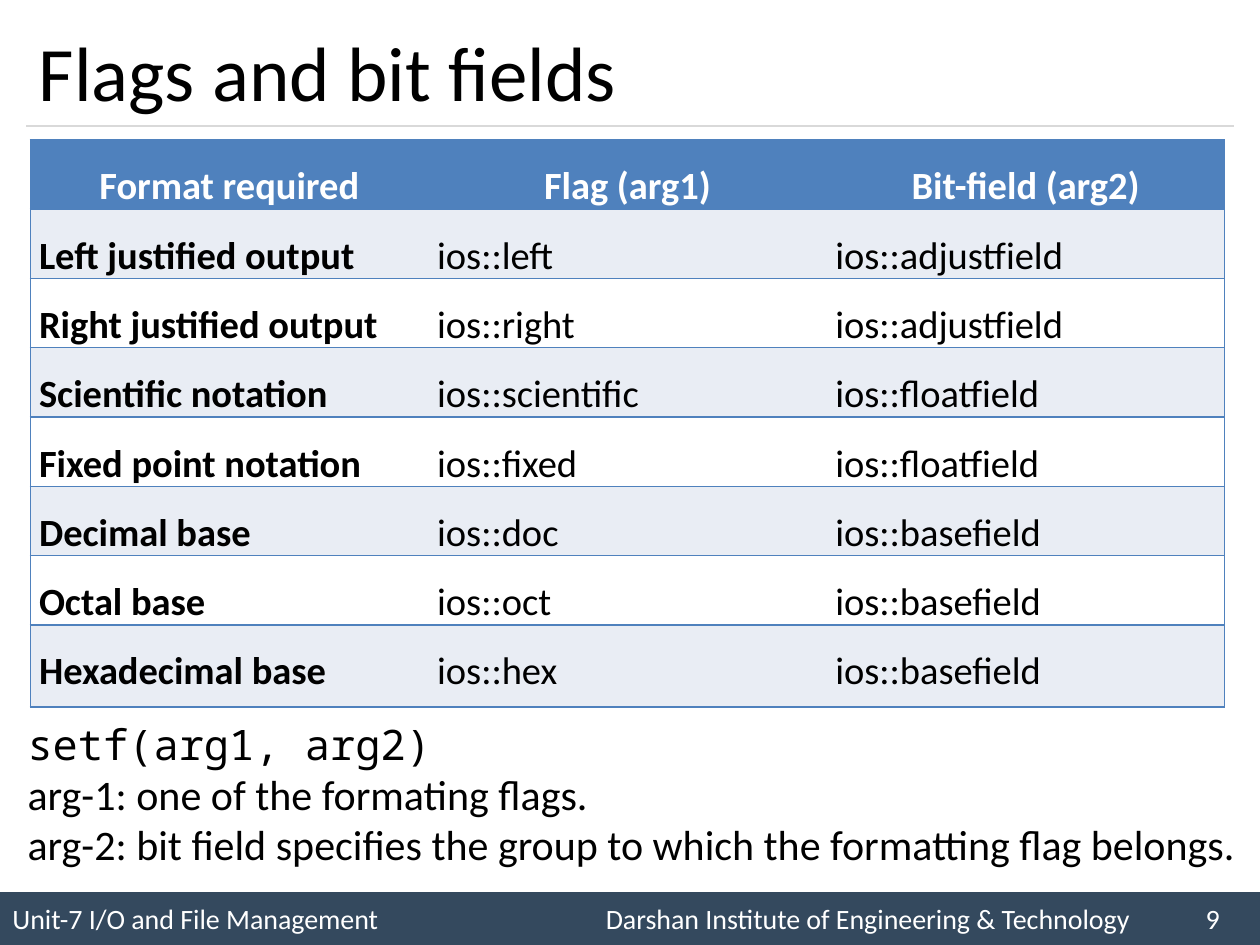
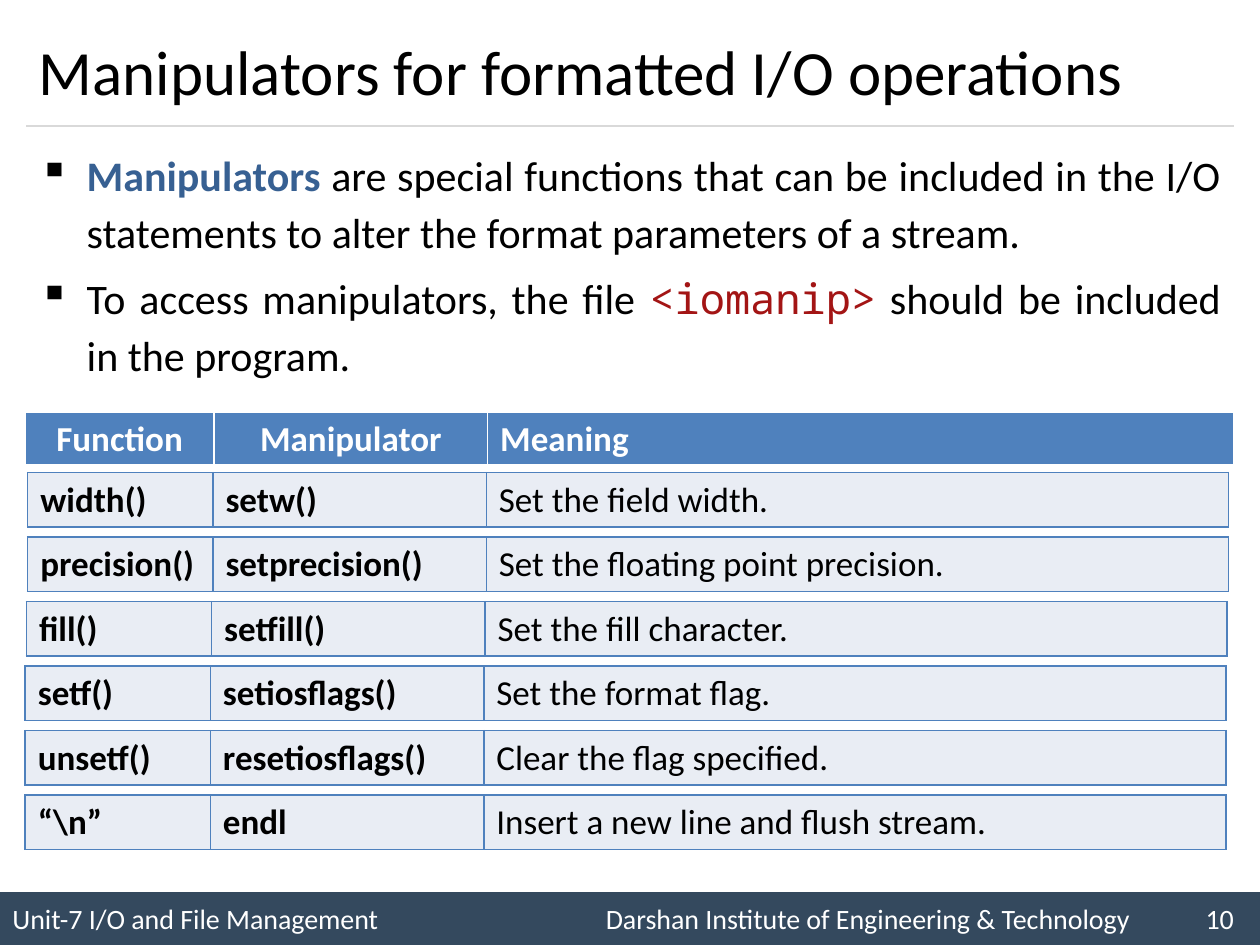
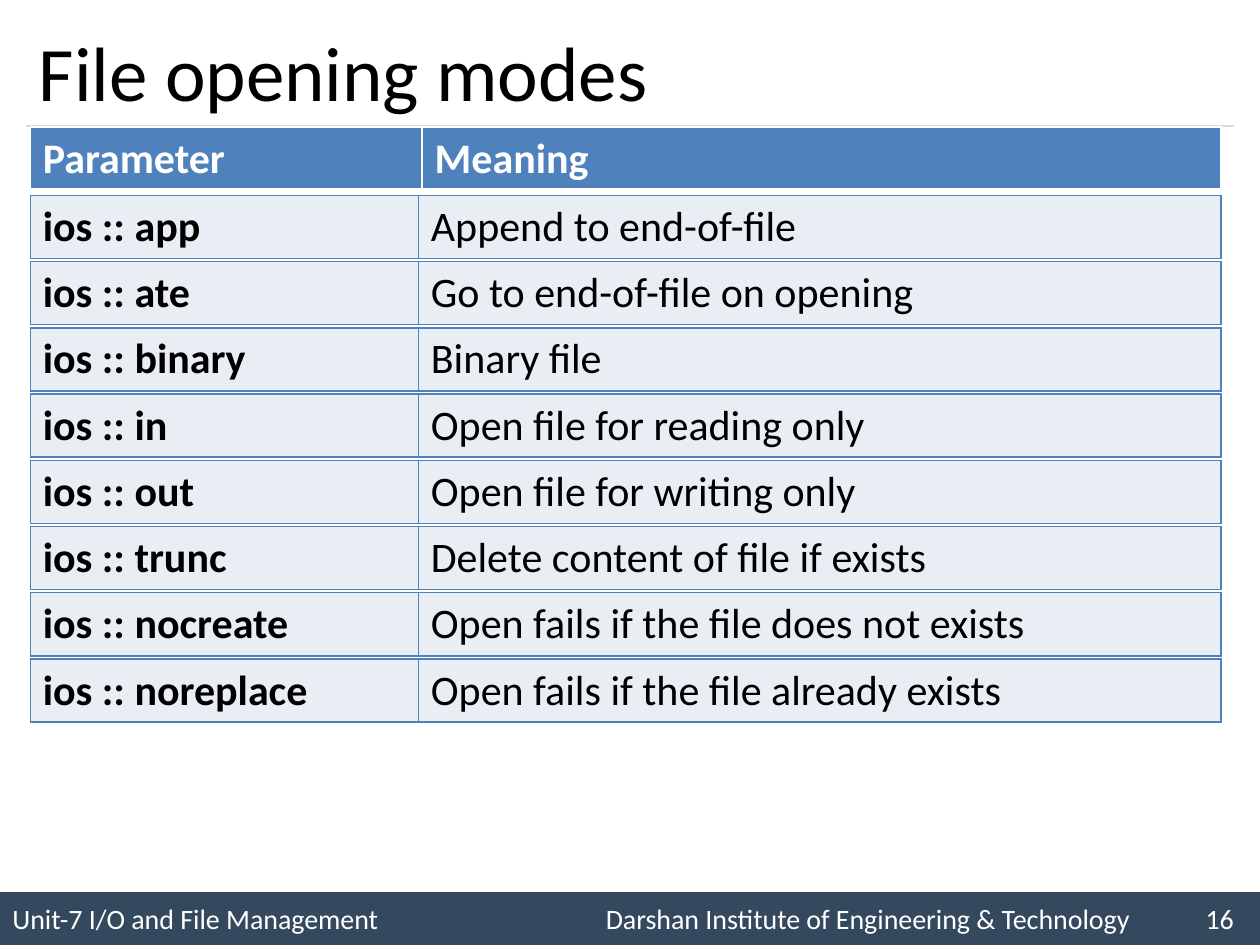
from lxml import etree
from pptx import Presentation
from pptx.dml.color import RGBColor
from pptx.enum.shapes import MSO_CONNECTOR, MSO_SHAPE
from pptx.enum.text import MSO_ANCHOR as Anchor, PP_ALIGN as Align
from pptx.oxml import parse_xml
from pptx.oxml.ns import nsdecls, qn
from pptx.util import Inches, Pt

BLACK, WHITE, BLUE, PALE = "000000", "FFFFFF", "4F81BD", "E9EDF4"
BAND, RULE, TERM, CODE = "34495E", "D9D9D9", "376092", "A31515"
BODY_FONT, CODE_FONT = "Calibri", "Noto Sans Mono"
rgb = RGBColor.from_string


def style(font, size, color=BLACK, bold=False, name=BODY_FONT):
    font.name, font.size, font.bold = name, Pt(size), bold
    font.color.rgb = rgb(color)


def add_grid(slide, left, top, widths, height, rows, size, fills, borders,
             header=False, bold_columns=1, centred=0, inner_lines=True, compact=False):
    frame = slide.shapes.add_table(len(rows), len(widths), Inches(left), Inches(top),
                                   Inches(sum(widths)), Inches(height * len(rows)))
    table = frame.table
    table.first_row = table.horz_banding = False
    for column, width in zip(table.columns, widths):
        column.width = Inches(width)
    for row_index, row in enumerate(rows):
        is_header = header and row_index == 0
        for index, text in enumerate(row):
            cell = table.cell(row_index, index)
            cell.text = text
            if compact:
                cell.margin_left = cell.margin_right = Inches(0.07)
                cell.margin_top = cell.margin_bottom = 0
            paragraph = cell.text_frame.paragraphs[0]
            if compact:
                paragraph.line_spacing = 1.5
            if is_header and index < centred:
                paragraph.alignment = Align.CENTER
            style(paragraph.runs[0].font, size, WHITE if is_header else BLACK,
                  is_header or index < bold_columns)
            cell.fill.solid()
            cell.fill.fore_color.rgb = rgb(fills[row_index])
            properties = cell._tc.get_or_add_tcPr()
            for position, (side, (color, width)) in enumerate(zip("LRTB", borders)):
                inner = (side == "L" and index > 0) or (side == "R" and index < len(row) - 1)
                paint = (f'<a:solidFill><a:srgbClr val="{color}"/></a:solidFill>'
                         if inner_lines or not inner else "<a:noFill/>")
                properties.insert(position, parse_xml(
                    f'<a:ln{side} {nsdecls("a")} w="{Pt(width)}">{paint}</a:ln{side}>'))
    return table


presentation = Presentation()
presentation.slide_width, presentation.slide_height = Inches(10), Inches(7.5)
blue_borders = [(BLUE, 1)] * 4
white_borders = [(WHITE, 1)] * 3 + [(WHITE, 3)]

slides = []
for title, title_size, number in [
    ("Flags and bit fields", 44, 9),
    ("Manipulators for formatted I/O operations", 36, 10),
    ("File opening modes", 44, 16),
]:
    slide = presentation.slides.add_slide(presentation.slide_layouts[6])
    slides.append(slide)

    footer = slide.shapes.add_shape(MSO_SHAPE.RECTANGLE, 0, Inches(7.08), Inches(10), Inches(0.42))
    footer.shadow.inherit = False
    footer.fill.solid()
    footer.fill.fore_color.rgb = rgb(BAND)
    footer.line.fill.background()
    footer.text_frame.vertical_anchor = Anchor.MIDDLE
    paragraph = footer.text_frame.paragraphs[0]
    paragraph.text = ("Unit-7 I/O and File Management\t"
                      f"Darshan Institute of Engineering & Technology\t{number}")
    paragraph.alignment = Align.LEFT
    tabs = etree.SubElement(paragraph._p.get_or_add_pPr(), qn("a:tabLst"))
    for stop in (4.71, 9.47):
        etree.SubElement(tabs, qn("a:tab"), pos=str(Inches(stop)), algn="l")
    style(paragraph.runs[0].font, 16, WHITE)

    rule = slide.shapes.add_connector(MSO_CONNECTOR.STRAIGHT, Inches(0.21), Inches(1),
                                      Inches(9.79), Inches(1))
    rule.line.color.rgb = rgb(RULE)
    rule.line.width = Pt(0.75)
    etree.SubElement(rule._element.spPr, qn("a:effectLst"))

    heading = slide.shapes.add_textbox(Inches(0.21), Inches(0.12), Inches(9.58), Inches(0.88))
    heading.text_frame.word_wrap = True
    heading.text_frame.vertical_anchor = Anchor.MIDDLE
    heading.text_frame.text = title
    style(heading.text_frame.paragraphs[0].runs[0].font, title_size)

flags_slide, manipulators_slide, modes_slide = slides

flags = [
    ("Format required", "Flag (arg1)", "Bit-field (arg2)"),
    ("Left justified output", "ios::left", "ios::adjustfield"),
    ("Right justified output", "ios::right", "ios::adjustfield"),
    ("Scientific notation", "ios::scientific", "ios::floatfield"),
    ("Fixed point notation", "ios::fixed", "ios::floatfield"),
    ("Decimal base", "ios::doc", "ios::basefield"),
    ("Octal base", "ios::oct", "ios::basefield"),
    ("Hexadecimal base", "ios::hex", "ios::basefield"),
]
flag_fills = [BLUE] + [PALE if index % 2 == 0 else WHITE for index in range(7)]
flags_table = add_grid(flags_slide, 0.24, 1.11, [3.16] * 3, 0.55, flags, 22, flag_fills,
                       blue_borders, header=True, centred=3, inner_lines=False, compact=True)
flags_table.rows[7].height = Inches(0.65)

usage = flags_slide.shapes.add_textbox(Inches(0.12), Inches(5.65), Inches(9.88), Inches(1.31))
usage.text_frame.word_wrap = True
usage.text_frame.text = "\n".join([
    "setf(arg1, arg2)",
    "arg-1: one of the formating flags.",
    "arg-2: bit field specifies the group to which the formatting flag belongs.",
])
for index, paragraph in enumerate(usage.text_frame.paragraphs):
    style(paragraph.runs[0].font, 24, name=BODY_FONT if index else CODE_FONT)

body = manipulators_slide.shapes.add_textbox(Inches(0.21), Inches(1.08), Inches(9.58), Inches(2.04))
body.text_frame.word_wrap = True
bullets = [
    [("Manipulators", TERM, True, BODY_FONT),
     (" are special functions that can be included in the I/O statements"
      " to alter the format parameters of a stream.", BLACK, False, BODY_FONT)],
    [("To access manipulators, the file ", BLACK, False, BODY_FONT),
     ("<iomanip>", CODE, False, CODE_FONT),
     (" should be included in the program.", BLACK, False, BODY_FONT)],
]
for index, parts in enumerate(bullets):
    paragraph = body.text_frame.add_paragraph() if index else body.text_frame.paragraphs[0]
    paragraph.alignment = Align.JUSTIFY
    paragraph.line_spacing = 1.14
    if index:
        paragraph.space_before = Pt(4.8)
    properties = paragraph._p.get_or_add_pPr()
    properties.set("marL", str(Inches(0.38)))
    properties.set("indent", str(-Inches(0.38)))
    bullet_color = etree.SubElement(properties, qn("a:buClr"))
    etree.SubElement(bullet_color, qn("a:srgbClr"), val=BLACK)
    etree.SubElement(properties, qn("a:buChar"), char="▪")
    for text, color, bold, name in parts:
        run = paragraph.add_run()
        run.text = text
        style(run.font, 24, color, bold, name)

add_grid(manipulators_slide, 0.2, 3.27, [1.5, 2.17, 5.92], 0.42,
         [("Function", "Manipulator", "Meaning")], 20, [BLUE], white_borders,
         header=True, centred=2)
manipulators = [
    (0.22, "width()", "setw()", "Set the field width."),
    (0.22, "precision()", "setprecision()", "Set the floating point precision."),
    (0.21, "fill()", "setfill()", "Set the fill character."),
    (0.2, "setf()", "setiosflags()", "Set the format flag."),
    (0.2, "unsetf()", "resetiosflags()", "Clear the flag specified."),
    (0.2, "“\\n”", "endl", "Insert a new line and flush stream."),
]
manipulator_step = (6.31 - 3.75) / (len(manipulators) - 1)
for index, (left, *row) in enumerate(manipulators):
    add_grid(manipulators_slide, left, 3.75 + index * manipulator_step, [1.47, 2.17, 5.89], 0.43,
             [row], 20, [PALE], blue_borders, bold_columns=2)

add_grid(modes_slide, 0.24, 1.01, [3.11, 6.34], 0.5, [("Parameter", "Meaning")], 24,
         [BLUE], white_borders, header=True)
modes = [
    ("ios :: app", "Append to end-of-file"),
    ("ios :: ate", "Go to end-of-file on opening"),
    ("ios :: binary", "Binary file"),
    ("ios :: in", "Open file for reading only"),
    ("ios :: out", "Open file for writing only"),
    ("ios :: trunc", "Delete content of file if exists"),
    ("ios :: nocreate", "Open fails if the file does not exists"),
    ("ios :: noreplace", "Open fails if the file already exists"),
]
mode_step = (5.23 - 1.55) / (len(modes) - 1)
for index, row in enumerate(modes):
    add_grid(modes_slide, 0.24, 1.55 + index * mode_step, [3.08, 6.37], 0.5,
             [row], 24, [PALE], blue_borders)

presentation.save("out.pptx")
